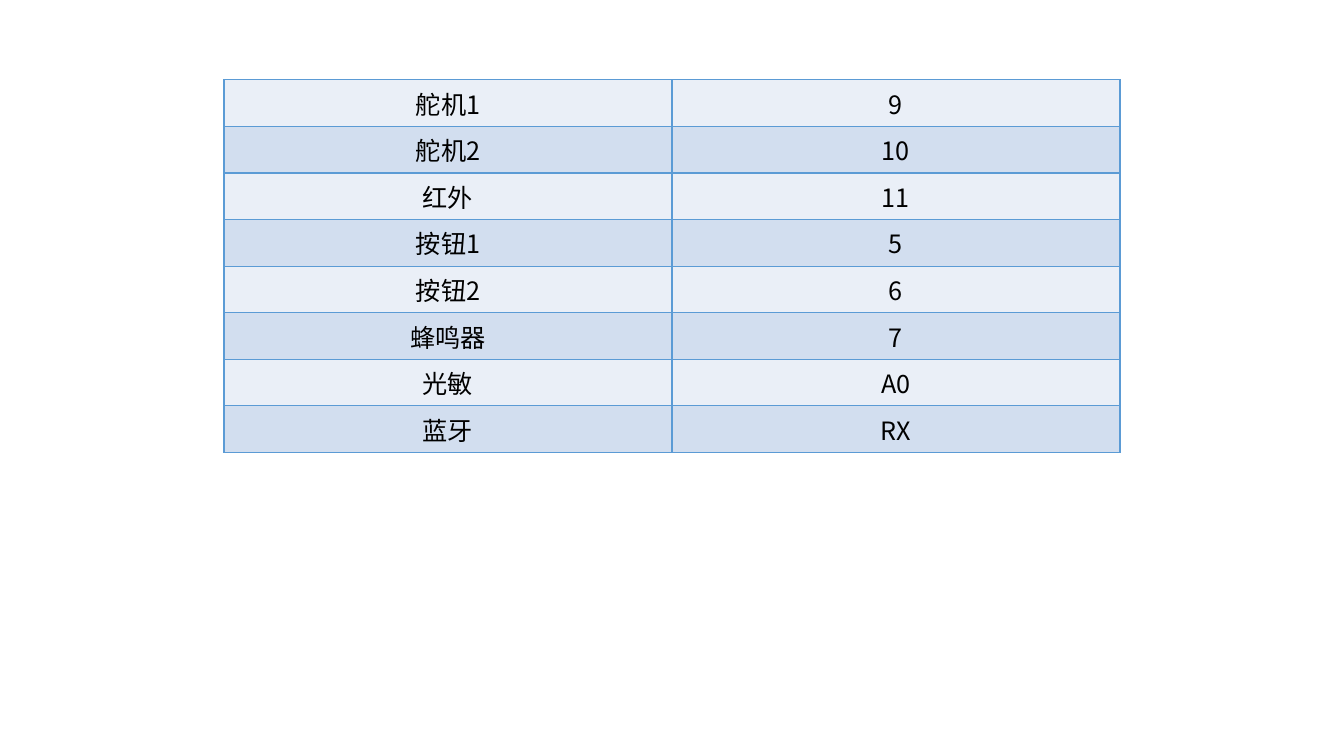
from dataclasses import dataclass

from lxml.etree import SubElement
from pptx import Presentation
from pptx.dml.color import RGBColor
from pptx.enum.text import PP_ALIGN
from pptx.oxml.ns import qn
from pptx.util import Cm, Pt

PIN_ASSIGNMENTS = [
    ("舵机1", "9"),
    ("舵机2", "10"),
    ("红外", "11"),
    ("按钮1", "5"),
    ("按钮2", "6"),
    ("蜂鸣器", "7"),
    ("光敏", "A0"),
    ("蓝牙", "RX"),
]


@dataclass(frozen=True)
class Theme:
    font: str = "Noto Sans CJK SC"
    text_size: int = 18
    text: str = "000000"
    bands: tuple = ("EAEFF7", "D2DEEF")
    border: str = "5B9BD5"
    border_width: int = 1


THEME = Theme()
SLIDE_WIDTH, SLIDE_HEIGHT = Cm(33.87), Cm(19.05)
TABLE_TOP = Cm(2.01)
COLUMN_WIDTH, ROW_HEIGHT = Cm(11.29), Cm(1.03)


def add_borders(cell):
    properties = cell._tc.get_or_add_tcPr()
    for side in ("lnL", "lnR", "lnT", "lnB"):
        line = SubElement(properties, qn(f"a:{side}"), w=str(Pt(THEME.border_width)))
        fill = SubElement(line, qn("a:solidFill"))
        SubElement(fill, qn("a:srgbClr"), val=THEME.border)


def write_cell(cell, text, band):
    add_borders(cell)
    cell.fill.solid()
    cell.fill.fore_color.rgb = RGBColor.from_string(band)
    para = cell.text_frame.paragraphs[0]
    para.alignment = PP_ALIGN.CENTER
    span = para.add_run()
    span.text = text
    span.font.size = Pt(THEME.text_size)
    span.font.color.rgb = RGBColor.from_string(THEME.text)
    span.font.name = THEME.font
    SubElement(span.font._element, qn("a:ea"), typeface=THEME.font)


def add_pin_table(page):
    row_count, column_count = len(PIN_ASSIGNMENTS), len(PIN_ASSIGNMENTS[0])
    width = COLUMN_WIDTH * column_count
    left = (SLIDE_WIDTH - width) // 2
    table = page.shapes.add_table(
        row_count, column_count, left, TABLE_TOP, width, ROW_HEIGHT * row_count
    ).table
    table.first_row = False
    table.horz_banding = False
    for row, values in enumerate(PIN_ASSIGNMENTS):
        band = THEME.bands[row % len(THEME.bands)]
        for column, value in enumerate(values):
            write_cell(table.cell(row, column), value, band)


def main():
    deck = Presentation()
    deck.slide_width, deck.slide_height = SLIDE_WIDTH, SLIDE_HEIGHT
    page = deck.slides.add_slide(deck.slide_layouts[6])
    add_pin_table(page)
    deck.save("out.pptx")


if __name__ == "__main__":
    main()
